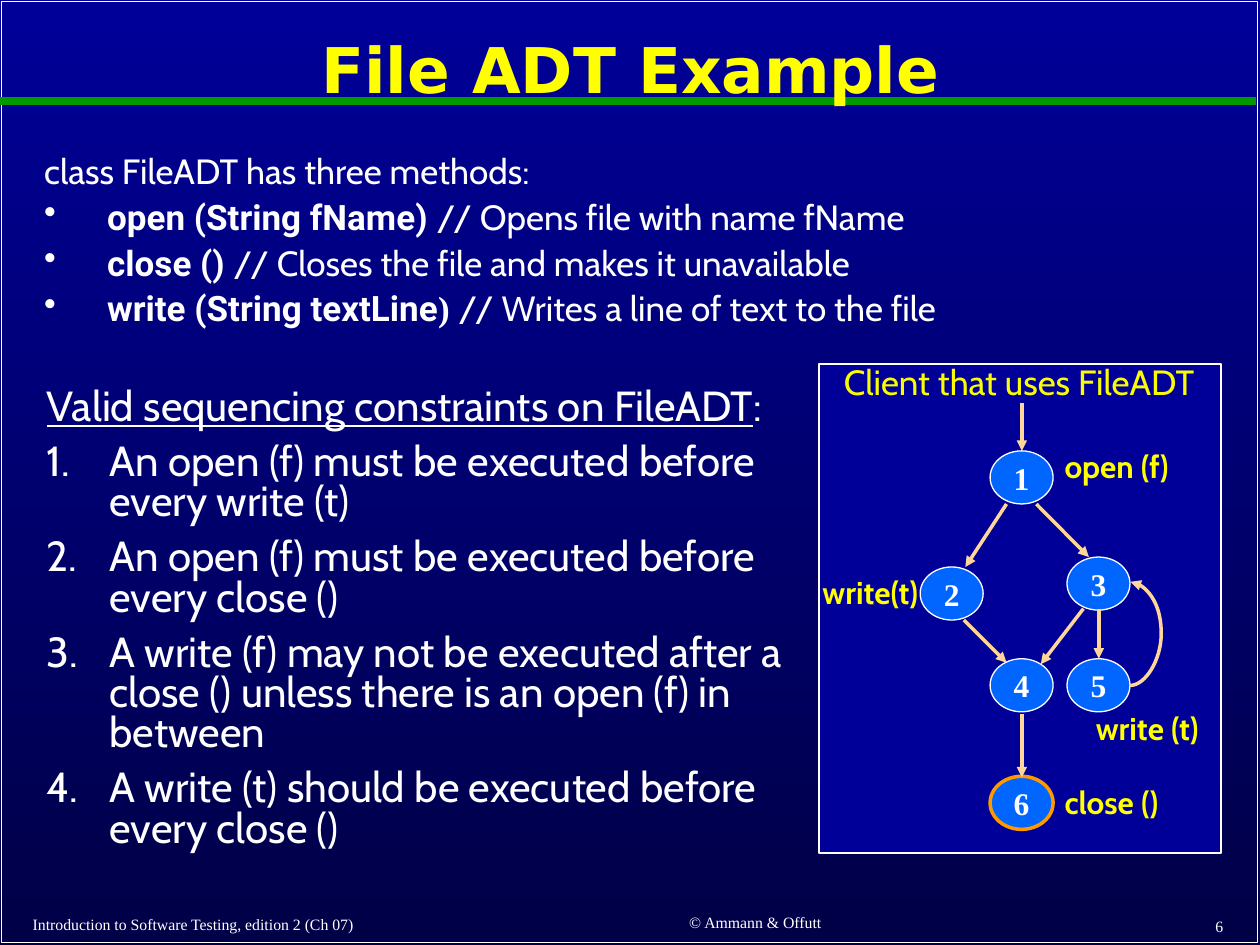
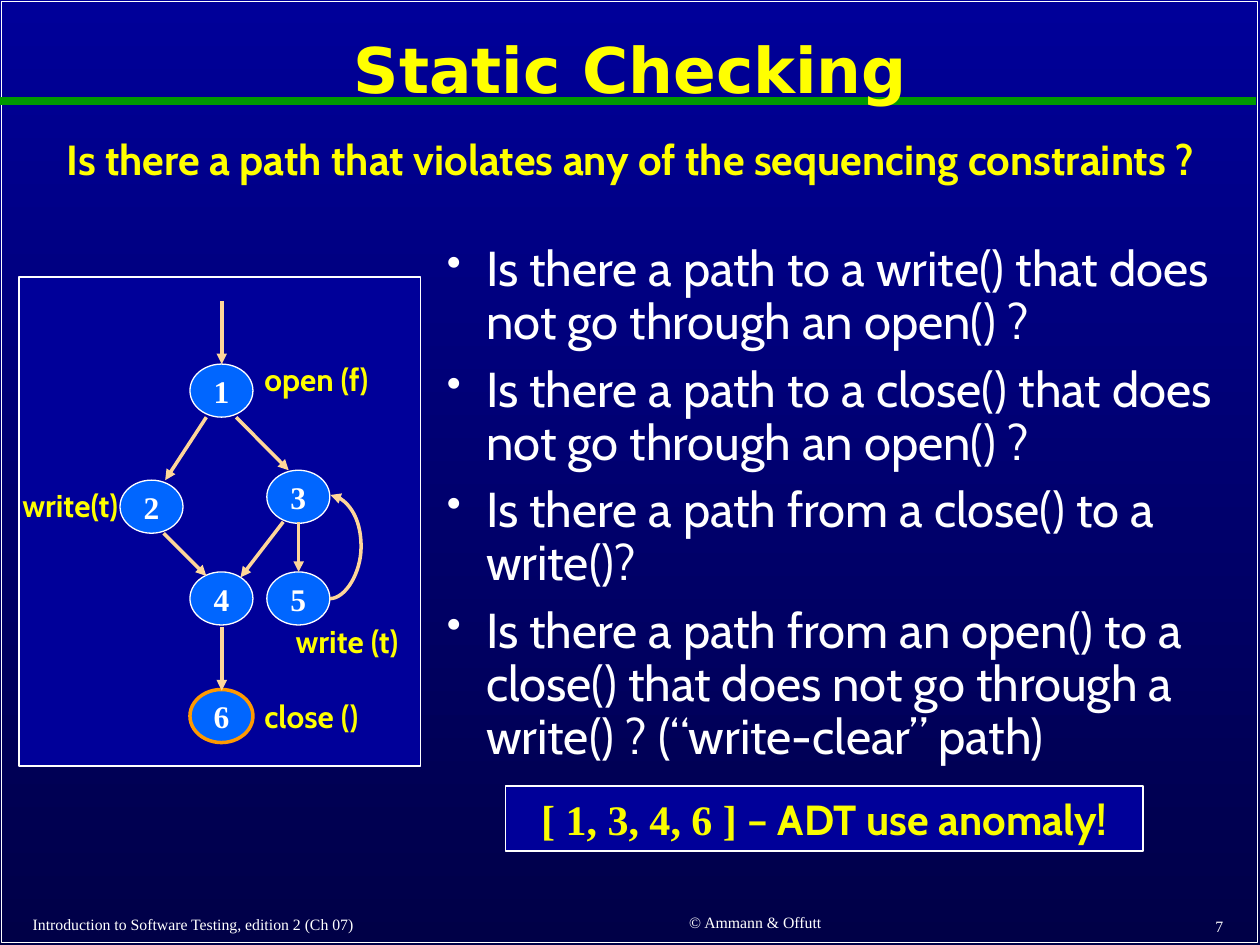
from lxml import etree
from pptx import Presentation
from pptx.dml.color import RGBColor
from pptx.enum.shapes import MSO_CONNECTOR, MSO_SHAPE
from pptx.enum.text import MSO_ANCHOR, PP_ALIGN
from pptx.oxml.ns import qn
from pptx.util import Cm, Pt

RECT, OVAL = MSO_SHAPE.RECTANGLE, MSO_SHAPE.OVAL
LINE, CURVE = MSO_CONNECTOR.STRAIGHT, MSO_CONNECTOR.CURVE
LEFT, MID, RIGHT = PP_ALIGN.LEFT, PP_ALIGN.CENTER, PP_ALIGN.RIGHT
CENTER = MSO_ANCHOR.MIDDLE

WHITE, YELLOW, GOLD = "FFFFFF", "FFFF00", "FAFD00"
NAVY, DARK, BLUE = "000099", "000047", "0066FF"
GREEN, PEACH, AMBER = "009900", "FED699", "FF9900"
SANS, CODE, SERIF, HEAD = "Cabin", "Roboto", "Times New Roman", "DejaVu Sans"


def paint(fill, tone):
    fill.solid()
    fill.fore_color.rgb = RGBColor.from_string(tone)


def write(shape, paras, size, tone=WHITE, align=LEFT, lead=1.0, gap=0.0):
    """Fill a shape with paragraphs, each a list of (text, font, style) runs."""
    frame = shape.text_frame
    frame.word_wrap = True
    for i, runs in enumerate(paras):
        para = frame.add_paragraph() if i else frame.paragraphs[0]
        para.alignment, para.line_spacing = align, lead
        para.space_before = Pt(gap)
        for text, face, style in runs:
            run = para.add_run()
            run.text = text
            run.font.name, run.font.size = face, Pt(size)
            run.font.bold, run.font.underline = "b" in style, "u" in style
            paint(run.font.fill, tone)
    return frame


deck = Presentation()
deck.slide_width, deck.slide_height = Cm(25.4), Cm(19.05)

# Flow graph, in cm from the corner of its frame
nodes = {"1": (3.45, 1.75), "2": (2.04, 4.09), "3": (5, 3.89),
         "4": (3.45, 5.94), "5": (5, 5.94), "6": (3.45, 8.31)}
edges = [(3.78, 2.82, 2.95, 4.09), (4.38, 2.82, 5.44, 3.89),
         (2.92, 5.16, 3.78, 6.02), (5.33, 4.93, 4.47, 6.05),
         (5.64, 4.93, 5.64, 5.94), (4.09, 7.06, 4.09, 8.33)]
back = (6.27, 6.48, 6.28, 4.39)
calls = [("open (f)", 4.7, 1.55), ("write(t)", -0.18, 4.09),
         ("write (t)", 5.33, 6.83), ("close ()", 4.7, 8.33)]

# Title, page number, graph corner, start of the entry arrow
pages = [("File ADT Example", 6, 16.51, 7.34, 0.79),
         ("Static Checking", 7, 0.38, 5.59, 0.48)]
slides = []

for title, page, left, top, start in pages:
    slide = deck.slides.add_slide(deck.slide_layouts[6])
    slides.append(slide)
    back_fill = slide.background.fill
    back_fill.gradient()
    back_fill.gradient_angle = 270
    for stop, tone in zip(back_fill.gradient_stops, (NAVY, DARK)):
        stop.color.rgb = RGBColor.from_string(tone)

    edge = slide.shapes.add_shape(RECT, Cm(0.03), Cm(0.03), Cm(25.32), Cm(18.97))
    edge.shadow.inherit = False
    edge.fill.background()
    paint(edge.line.fill, WHITE)
    edge.line.width = Pt(1)

    rule = slide.shapes.add_connector(LINE, 0, Cm(2.03), Cm(25.32), Cm(2.03))
    paint(rule.line.fill, GREEN)
    rule.line.width = Pt(4.5)
    etree.SubElement(rule._element.spPr, qn("a:effectLst"))

    for text, box, size, face, tone, align, style, lead in [
        (title, (0.38, 0.28, 24.66, 2.39), 36, HEAD, YELLOW, MID, "b", 0.9),
        ("Introduction to Software Testing, edition 2 (Ch 07)",
         (0.41, 18.34, 10.39, 0.58), 9, SERIF, WHITE, LEFT, "", 1.0),
        ("© Ammann & Offutt", (11.2, 18.31, 8.05, 0.58),
         9, SERIF, WHITE, MID, "", 1.0),
        (str(page), (19.63, 18.36, 5.28, 0.61),
         9, SERIF, WHITE, RIGHT, "", 1.0),
    ]:
        label = slide.shapes.add_textbox(*map(Cm, box))
        frame = write(label, [[(text, face, style)]], size, tone, align, lead)
        frame.vertical_anchor = CENTER

    graph = slide.shapes.add_group_shape().shapes
    panel = graph.add_shape(RECT, Cm(left), Cm(top), Cm(8.1), Cm(9.86))
    panel.shadow.inherit = False
    paint(panel.fill, NAVY)
    paint(panel.line.fill, WHITE)
    panel.line.width = Pt(1)

    for name, (x, y) in nodes.items():
        node = graph.add_shape(OVAL, Cm(left + x), Cm(top + y), Cm(1.27), Cm(1.07))
        node.shadow.inherit = False
        paint(node.fill, BLUE)
        paint(node.line.fill, AMBER if name == "6" else WHITE)
        node.line.width = Pt(2 if name == "6" else 0.75)
        frame = write(node, [[(name, SERIF, "b")]], 18, align=MID)
        frame.margin_left = frame.margin_right = 0
        frame.margin_top = frame.margin_bottom = 0

    for x1, y1, x2, y2 in [*edges, (4.09, start, 4.09, 1.75), back]:
        bent = (x1, y1, x2, y2) == back
        arrow = graph.add_connector(
            CURVE if bent else LINE,
            Cm(left + x1), Cm(top + y1), Cm(left + x2), Cm(top + y2))
        paint(arrow.line.fill, PEACH)
        arrow.line.width = Pt(2)
        props = arrow._element.spPr
        etree.SubElement(props.find(qn("a:ln")), qn("a:tailEnd"), type="triangle")
        etree.SubElement(props, qn("a:effectLst"))
        if bent:  # bulge of 63 times the 0.01 cm width
            geom = props.find(qn("a:prstGeom"))
            etree.SubElement(geom.find(qn("a:avLst")), qn("a:gd"),
                             name="adj1", fmla="val 6300000")

    for text, x, y in calls:
        label = graph.add_textbox(Cm(left + x), Cm(top + y), Cm(2.97), Cm(1.02))
        write(label, [[(text, SANS, "b")]], 18, YELLOW)

first, second = slides

# Lists: slide, box, paragraphs, size, line spacing, gap, indent, bullet
methods = [
    [("class FileADT has three methods:", SANS, "")],
    [("open (String fName) ", CODE, "b"),
     ("// Opens file with name fName", SANS, "")],
    [("close () ", CODE, "b"),
     ("// Closes the file and makes it unavailable", SANS, "")],
    [("write (String textLine", CODE, "b"), (") ", SERIF, "b"),
     ("// Writes a line of text to the file", SANS, "")],
]
rules = [[("Valid sequencing constraints on FileADT", SANS, "u"), (":", SANS, "")]]
rules += [[(text, SANS, "")] for text in (
    "An open (f) must be executed before every write (t)",
    "An open (f) must be executed before every close ()",
    "A write (f) may not be executed after a close () unless there is "
    "an open (f) in between",
    "A write (t) should be executed before every close ()")]
checks = [[(text, SANS, "")] for text in (
    "Is there a path to a write() that does not go through an open() ?",
    "Is there a path to a close() that does not go through an open() ?",
    "Is there a path from a close() to a write()?",
    "Is there a path from an open() to a close() that does not go through "
    "a write() ? (“write-clear” path)")]

dot = ("a:buChar", {"char": "•"})
count = ("a:buAutoNum", {"type": "arabicPeriod"})
for slide, box, paras, size, lead, gap, indent, mark, skip in [
    (first, (0.64, 3.05, 20.32, 3.86), methods, 20, 0.8, 7, 1.27, dot, 1),
    (first, (0.69, 7.72, 15.82, 9.91), rules, 24, 0.8, 8.4, 1.27, count, 1),
    (second, (8.76, 4.8, 16.36, 8.61), checks, 28, 0.9, 8.4, 0.79, dot, 0),
]:
    area = slide.shapes.add_textbox(*map(Cm, box))
    frame = write(area, paras, size, lead=lead, gap=gap)
    for para in frame.paragraphs[skip:]:
        props = para._p.get_or_add_pPr()
        props.set("marL", str(Cm(indent)))
        props.set("indent", str(-Cm(indent)))
        if slide is second:
            etree.SubElement(props, qn("a:buSzPct"), val="85000")
        etree.SubElement(props, qn(mark[0]), mark[1])

client = first.shapes.add_textbox(Cm(16.76), Cm(7.14), Cm(7.85), Cm(1.12))
write(client, [[("Client that uses FileADT", SANS, "")]], 20, GOLD)

query = second.shapes.add_textbox(Cm(0.99), Cm(2.69), Cm(23.44), Cm(2.11))
ask = "Is there a path that violates any of the sequencing constraints ?"
write(query, [[(ask, SANS, "b")]], 24, YELLOW, MID, 0.9)

result = second.shapes.add_shape(RECT, Cm(10.19), Cm(15.85), Cm(12.85), Cm(1.3))
result.shadow.inherit = False
paint(result.fill, NAVY)
paint(result.line.fill, WHITE)
result.line.width = Pt(1)
write(result, [[("[ 1, 3, 4, 6 ] ", SERIF, "b"),
                ("– ADT use anomaly!", SANS, "b")]], 24, GOLD, MID)

deck.save("out.pptx")
